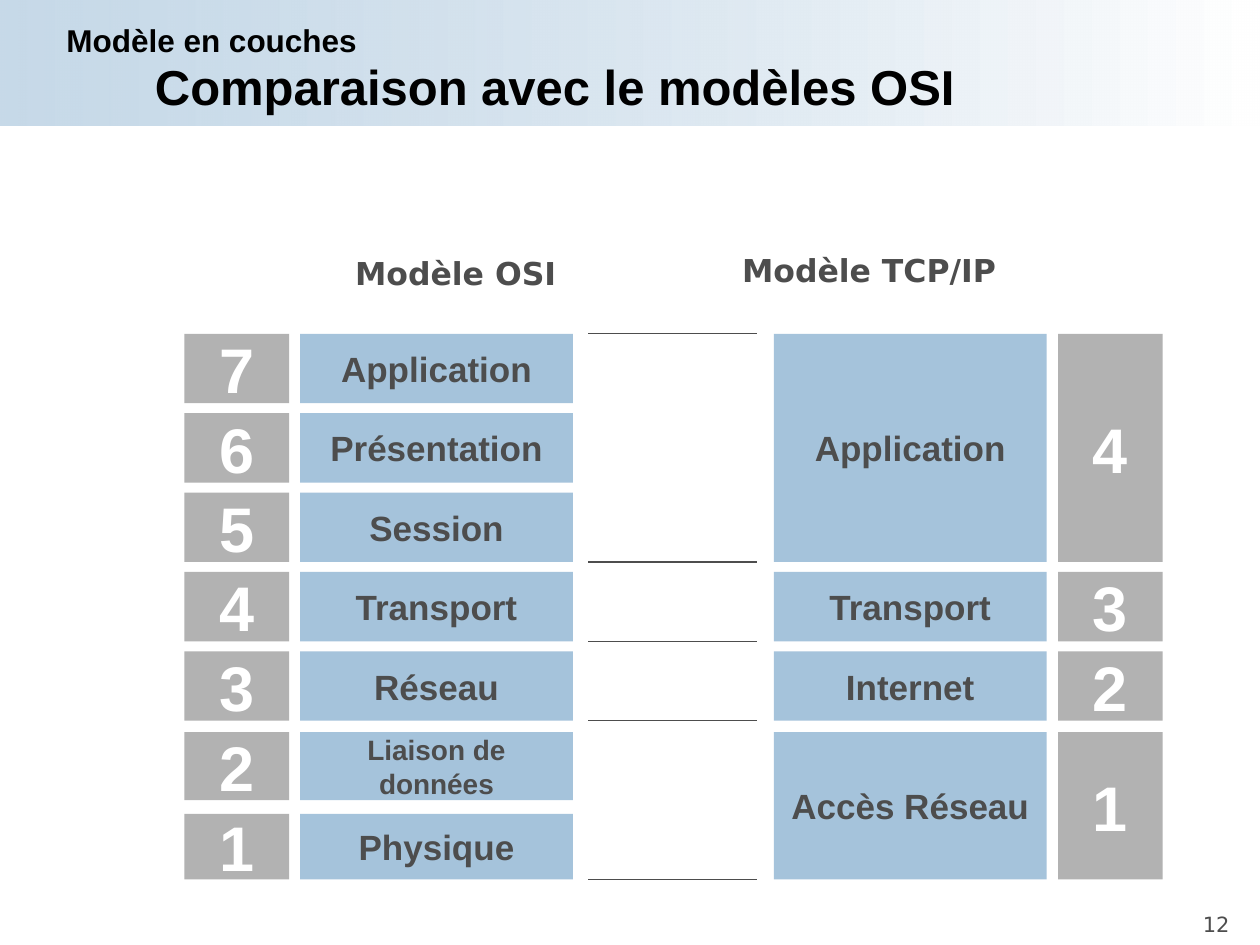
import pptx
import pptx.util
import pptx.dml.color
import pptx.enum.dml
import pptx.enum.shapes
import pptx.enum.text
import pptx.oxml.ns
from lxml import etree

Cm = pptx.util.Cm
HUES = {"blue": "A5C3DB", "grey": "B2B2B2", "dark": "4D4D4D",
        "white": "FFFFFF", "black": "000000"}
ALIGN = pptx.enum.text.PP_ALIGN
ANCHOR = pptx.enum.text.MSO_ANCHOR
FIT = pptx.enum.text.MSO_AUTO_SIZE
RECT = pptx.enum.shapes.MSO_SHAPE.RECTANGLE


def hue(name):
    return pptx.dml.color.RGBColor.from_string(HUES[name])


class Deck:
    """Holds the style and the current slide."""

    def __init__(self):
        self.prs = pptx.Presentation()
        self.prs.slide_width, self.prs.slide_height = Cm(25.4), Cm(19.05)
        self.slide = self.prs.slides.add_slide(self.prs.slide_layouts[5])
        self.home = self.slide.shapes

    def group(self):
        return self.home.add_group_shape().shapes

    def letter(self, shape, text, size, color, font="Arial", bold=True,
               align=ALIGN.LEFT, **frame):
        look = {"word_wrap": True, "auto_size": FIT.NONE, **frame}
        for key, value in look.items():
            setattr(shape.text_frame, key, value)
        para = shape.text_frame.paragraphs[0]
        para.text, para.alignment = text, align
        style = {"name": font, "size": pptx.util.Pt(size), "bold": bold}
        for key, value in style.items():
            setattr(para.runs[0].font, key, value)
        para.runs[0].font.color.rgb = hue(color)

    def title(self, text, x, y, w, h):
        head = self.home.title
        place = {"left": x, "top": y, "width": w, "height": h}
        for key, value in place.items():
            setattr(head, key, Cm(value))
        self.letter(head, text, 28, "black", vertical_anchor=ANCHOR.MIDDLE)

    def band(self, w, h):
        bar = self.home.add_shape(RECT, 0, 0, Cm(w), Cm(h))
        bar.shadow.inherit = False
        bar.line.fill.background()
        bar.fill.gradient()
        bar.fill.gradient_angle = 0
        for stop, name, spot in zip(bar.fill.gradient_stops,
                                    ("blue", "white"), (0, 1)):
            stop.color.rgb, stop.position = hue(name), spot
        # The blue end is partly clear
        tint = bar._element.find(".//" + pptx.oxml.ns.qn("a:srgbClr"))
        etree.SubElement(tint, pptx.oxml.ns.qn("a:alpha"), val="62000")
        # Send behind the title
        self.home._spTree.insert(2, bar._element)

    def label(self, home, text, x, y, w, h, size, color, **look):
        box = home.add_textbox(Cm(x), Cm(y), Cm(w), Cm(h))
        self.letter(box, text, size, color, **look)

    def block(self, home, text, x, y, w, h, fill, size, color):
        box = home.add_shape(RECT, Cm(x), Cm(y), Cm(w), Cm(h))
        box.shadow.inherit = False
        box.fill.solid()
        box.fill.fore_color.rgb = hue(fill)
        box.line.fill.background()
        self.letter(box, text, size, color, align=ALIGN.CENTER,
                    vertical_anchor=ANCHOR.MIDDLE)

    def rule(self, x1, x2, y):
        line = self.home.add_connector(
            pptx.enum.shapes.MSO_CONNECTOR.STRAIGHT,
            Cm(x1), Cm(y), Cm(x2), Cm(y))
        line.line.color.rgb = hue("dark")
        line.line.width = pptx.util.Pt(0.75)
        etree.SubElement(line._element.spPr, pptx.oxml.ns.qn("a:effectLst"))

    def stack(self, home, layers, num_x, name_x):
        """Draw numbered layers, from the highest number down to 1."""
        for num, (name, y, h, size) in zip(range(len(layers), 0, -1), layers):
            self.block(home, str(num), num_x, y, 2.11, h, "grey", 36, "white")
            self.block(home, name, name_x, y, 5.5, h, "blue", size, "dark")


def main():
    deck = Deck()

    # Header and page number
    deck.band(25.4, 2.54)
    deck.title("Comparaison avec le modèles OSI", 2.87, 1.12, 21.46, 1.24)
    deck.label(deck.home, "Modèle en couches", 1.09, 0.3, 22.7, 1.02,
               18, "black")
    deck.label(deck.home, "12", 24, 18.26, 1.4, 0.76, 12, "dark",
               font="DejaVu Sans", bold=False)

    # Layers: name, top, height, text size
    top, step, high = 6.73, 1.6, 1.4
    names = ["Application", "Présentation", "Session", "Transport", "Réseau"]
    osi = [(name, top + i * step, high, 20) for i, name in enumerate(names)]
    osi += [("Liaison de données", 14.76, 1.37, 16),
            ("Physique", 16.41, 1.32, 20)]
    tcp = [("Application", top, 2 * step + high, 20),
           ("Transport", top + 3 * step, high, 20),
           ("Internet", top + 4 * step, high, 20),
           ("Accès Réseau", 14.76, 2.97, 20)]

    # Lines at the top and under each TCP/IP layer
    for y in [top] + [y + h for _, y, h, _ in tcp]:
        deck.rule(11.86, 15.27, y)

    # The two models
    head = {"size": 18, "color": "dark", "font": "DejaVu Sans",
            "word_wrap": False, "auto_size": FIT.SHAPE_TO_FIT_TEXT}
    left, right = deck.group(), deck.group()
    deck.stack(left, osi, 3.72, 6.05)
    deck.label(left, "Modèle OSI", 6.91, 5, 4.6, 1.02, **head)
    deck.stack(right, tcp, 21.33, 15.6)
    deck.label(right, "Modèle TCP/IP", 14.71, 4.93, 5.87, 1.02, **head)

    deck.prs.save("out.pptx")


if __name__ == "__main__":
    main()
